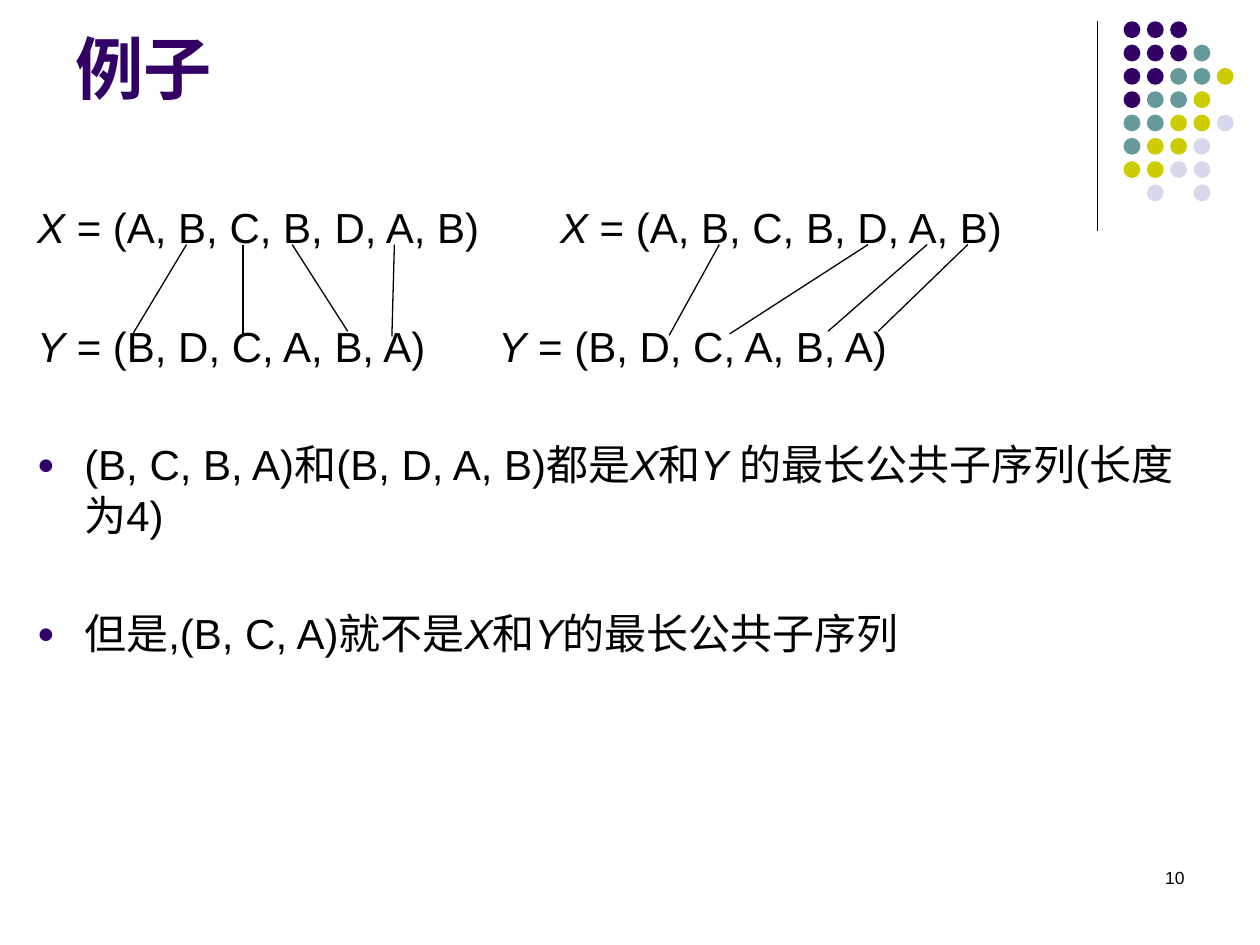
"""Build the slide with an example of longest common subsequences."""
from typing import NamedTuple, Optional

import lxml.etree
import pptx
import pptx.dml.color
import pptx.enum.shapes
import pptx.enum.text
import pptx.oxml.ns
import pptx.util

Cm = pptx.util.Cm
Pt = pptx.util.Pt
RGBColor = pptx.dml.color.RGBColor
qn = pptx.oxml.ns.qn

BLACK = RGBColor(0x00, 0x00, 0x00)
PURPLE = RGBColor(0x33, 0x00, 0x66)
TEAL = RGBColor(0x66, 0x99, 0x99)
OLIVE = RGBColor(0xCC, 0xCC, 0x00)
LAVENDER = RGBColor(0xD8, 0xD8, 0xEC)
FONT = "Arial"

DOT_COLORS = {"P": PURPLE, "T": TEAL, "O": OLIVE, "L": LAVENDER}
DOT_ROWS = ("PPP", "PPPT", "PPTTO", "PTTO", "TTOOL", "TOOL", "OOLL", " L L")
DOT_LEFT, DOT_TOP, DOT_PITCH, DOT_SIZE = 22.65, 0.43, 0.47, 0.34
MATCH_TOP = 4.93
BULLET_INDENT = Cm(0.95)


class Span(NamedTuple):
    text: str
    italic: bool = False
    bold: bool = False


class Line(NamedTuple):
    spans: tuple[Span, ...]
    space_before: float
    tab: Optional[float] = None


class Match(NamedTuple):
    top_x: float
    bottom_x: float
    bottom_y: float


class Frame(NamedTuple):
    left: float
    top: float
    width: float
    height: float


X = Span("X", italic=True)
Y = Span("Y", italic=True)
X_VALUES = " = (A, B, C, B, D, A, B)"
Y_VALUES = " = (B, D, C, A, B, A)"

BODY = (
    Line((X, Span(X_VALUES + "\t"), X, Span(X_VALUES)), 2, 10.54),
    Line((Y, Span(Y_VALUES + "\t"), Y, Span(Y_VALUES)), 39, 9.3),
    Line((Span("(B, C, B, A)和(B, D, A, B)都是"), X, Span("和"),
          Span("Y ", italic=True), Span("的最长公共子序列(长度为4)")), 39),
    Line((Span("但是,(B, C, A)就不是"), X, Span("和"), Y,
          Span("的最长公共子序列")), 39),
)

MATCHES = (
    Match(3.76, 2.69, 6.71), Match(4.9, 4.9, 6.76),
    Match(5.89, 7.01, 6.68), Match(7.95, 7.9, 6.78),
    Match(14.5, 13.49, 6.76), Match(17.5, 14.71, 6.73),
    Match(18.69, 16.69, 6.68), Match(19.51, 17.7, 6.68),
)


def add_line(page, x1: float, y1: float, x2: float, y2: float) -> None:
    line = page.shapes.add_connector(
        pptx.enum.shapes.MSO_CONNECTOR.STRAIGHT, Cm(x1), Cm(y1), Cm(x2), Cm(y2))
    line.line.color.rgb = BLACK
    line.line.width = Pt(0.75)
    lxml.etree.SubElement(line._element.spPr, qn("a:effectLst"))


def add_dots(page) -> None:
    for row, codes in enumerate(DOT_ROWS):
        for column, code in enumerate(codes):
            if code not in DOT_COLORS:
                continue
            dot = page.shapes.add_shape(
                pptx.enum.shapes.MSO_SHAPE.OVAL,
                Cm(DOT_LEFT + column * DOT_PITCH), Cm(DOT_TOP + row * DOT_PITCH),
                Cm(DOT_SIZE), Cm(DOT_SIZE))
            dot.shadow.inherit = False
            dot.fill.solid()
            dot.fill.fore_color.rgb = DOT_COLORS[code]
            dot.line.fill.background()


def add_box(page, frame: Frame):
    box = page.shapes.add_textbox(*(Cm(length) for length in frame))
    box.text_frame.word_wrap = True
    return box.text_frame


def add_span(para, span: Span, size: float, color: RGBColor) -> None:
    run = para.add_run()
    run.text = span.text
    run.font.name = FONT
    run.font.size = Pt(size)
    run.font.color.rgb = color
    run.font.italic = span.italic
    run.font.bold = span.bold


def add_bullet(para) -> None:
    properties = para._p.get_or_add_pPr()
    properties.set("marL", str(BULLET_INDENT))
    properties.set("indent", str(-BULLET_INDENT))
    color = lxml.etree.SubElement(properties, qn("a:buClr"))
    lxml.etree.SubElement(color, qn("a:srgbClr"), val=str(PURPLE))
    lxml.etree.SubElement(properties, qn("a:buSzPct"), val="70000")
    lxml.etree.SubElement(properties, qn("a:buFont"), typeface=FONT)
    lxml.etree.SubElement(properties, qn("a:buChar"), char="●")


def add_tab_stop(para, position: float) -> None:
    tabs = lxml.etree.SubElement(para._p.get_or_add_pPr(), qn("a:tabLst"))
    lxml.etree.SubElement(tabs, qn("a:tab"), pos=str(Cm(position)), algn="l")


def add_body(page) -> None:
    body = add_box(page, Frame(0.5, 3.94, 23.95, 14.7))
    for index, line in enumerate(BODY):
        para = body.add_paragraph() if index else body.paragraphs[0]
        para.space_before = Pt(line.space_before)
        if line.tab is None:
            add_bullet(para)
        else:
            add_tab_stop(para, line.tab)
        for span in line.spans:
            add_span(para, span, 24, BLACK)


def main() -> None:
    deck = pptx.Presentation()
    deck.slide_width, deck.slide_height = Cm(25.4), Cm(19.05)
    page = deck.slides.add_slide(deck.slide_layouts[6])

    add_line(page, 22.12, 0.43, 22.12, 4.65)
    add_dots(page)

    number = add_box(page, Frame(18.2, 17.35, 5.93, 1.27)).paragraphs[0]
    number.alignment = pptx.enum.text.PP_ALIGN.RIGHT
    add_span(number, Span("10"), 10, BLACK)

    title = add_box(page, Frame(1.27, 0.33, 6.02, 1.98))
    title.vertical_anchor = pptx.enum.text.MSO_ANCHOR.BOTTOM
    add_span(title.paragraphs[0], Span("例子", bold=True), 39, PURPLE)

    add_body(page)
    for match in MATCHES:
        add_line(page, match.top_x, MATCH_TOP, match.bottom_x, match.bottom_y)
    deck.save("out.pptx")


if __name__ == "__main__":
    main()
